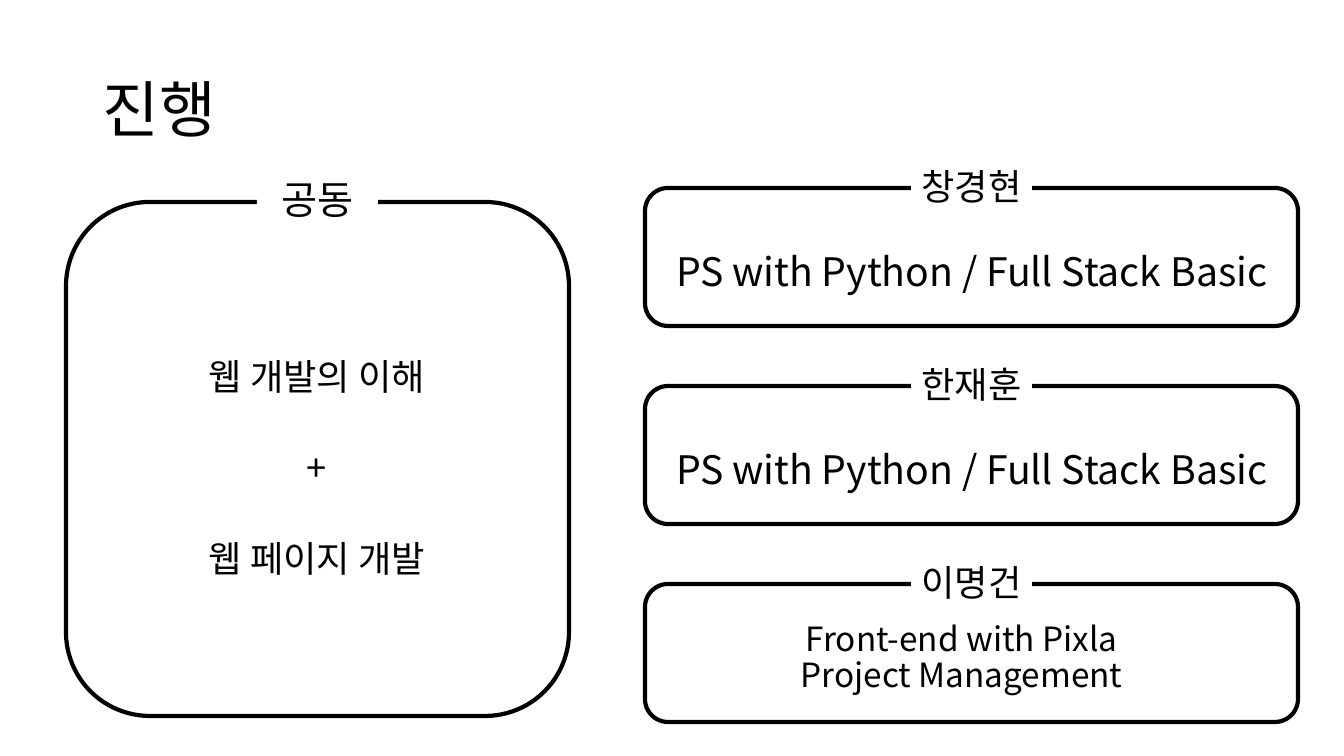
import pptx
import pptx.dml.color
import pptx.enum.shapes
import pptx.enum.text
import pptx.oxml.ns
import pptx.util
from lxml import etree

SCALE = 914400 / 100.8
FONT = "Noto Sans CJK KR"
BLACK = pptx.dml.color.RGBColor(0, 0, 0)
WHITE = pptx.dml.color.RGBColor(255, 255, 255)
SHAPES = pptx.enum.shapes.MSO_SHAPE
ALIGN = pptx.enum.text.PP_ALIGN
ANCHOR = pptx.enum.text.MSO_ANCHOR

CARD_LEFT, CARD_TOP, CARD_WIDTH, CARD_HEIGHT = 645, 188, 653, 138
CARD_STEP = 198
LABEL_WIDTH, LABEL_HEIGHT = 121, 71


def px(length):
    return pptx.util.Emu(round(length * SCALE))


def add_span(para, text, size):
    span = para.add_run()
    span.text = text
    span.font.size = pptx.util.Pt(size)
    span.font.name = FONT
    span.font.color.rgb = BLACK
    east_asian = etree.SubElement(span._r.get_or_add_rPr(), pptx.oxml.ns.qn("a:ea"))
    east_asian.set("typeface", FONT)


def fill_text(box, lines, size, spacing=0.9, gap=0, align=ALIGN.CENTER, anchor=ANCHOR.MIDDLE):
    frame = box.text_frame
    frame.word_wrap = True
    frame.vertical_anchor = anchor
    for index, line in enumerate(lines):
        para = frame.add_paragraph() if index else frame.paragraphs[0]
        para.alignment = align
        para.line_spacing = spacing
        if index:
            para.space_before = pptx.util.Pt(gap)
        add_span(para, line, size)


def add_text(page, left, top, width, height, lines, size, **style):
    box = page.shapes.add_textbox(px(left), px(top), px(width), px(height))
    fill_text(box, lines, size, **style)


def add_frame(page, left, top, width, height):
    frame = page.shapes.add_shape(
        SHAPES.ROUNDED_RECTANGLE, px(left), px(top), px(width), px(height))
    frame.shadow.inherit = False
    frame.fill.background()
    frame.line.color.rgb = BLACK
    frame.line.width = pptx.util.Pt(3)


def add_label(page, left, top, text, size):
    label = page.shapes.add_shape(
        SHAPES.RECTANGLE, px(left), px(top), px(LABEL_WIDTH), px(LABEL_HEIGHT))
    label.shadow.inherit = False
    label.fill.solid()
    label.fill.fore_color.rgb = WHITE
    label.line.fill.background()
    label.text_frame.margin_left = label.text_frame.margin_right = 0
    fill_text(label, [text], size)


def add_card(page, top, name):
    add_frame(page, CARD_LEFT, top, CARD_WIDTH, CARD_HEIGHT)
    add_label(page, CARD_LEFT + 266, top - 35, name, 25.9)


def main():
    deck = pptx.Presentation()
    deck.slide_width, deck.slide_height = px(1344), px(756)
    page = deck.slides.add_slide(deck.slide_layouts[6])

    add_text(page, 93, 40, 1159, 146, ["진행"], 44, align=ALIGN.LEFT)

    add_frame(page, 66, 202, 503, 514)
    add_label(page, 257, 166, "공동", 28)
    add_text(page, 111, 340, 412, 262, ["웹 개발의 이해", "+", "웹 페이지 개발"], 25.9,
             spacing=0.8, gap=40)

    for index, name in enumerate(["창경현", "한재훈", "이명건"]):
        add_card(page, CARD_TOP + index * CARD_STEP, name)
    for index in range(2):
        add_text(page, CARD_LEFT, CARD_TOP + index * CARD_STEP + 50, CARD_WIDTH, 71,
                 ["PS with Python / Full Stack Basic"], 28)
    add_text(page, 578, 624, 767, 85, ["Front-end with Pixla", "Project Management"], 23.8,
             spacing=0.7, gap=6, anchor=ANCHOR.TOP)

    deck.save("out.pptx")


if __name__ == "__main__":
    main()
